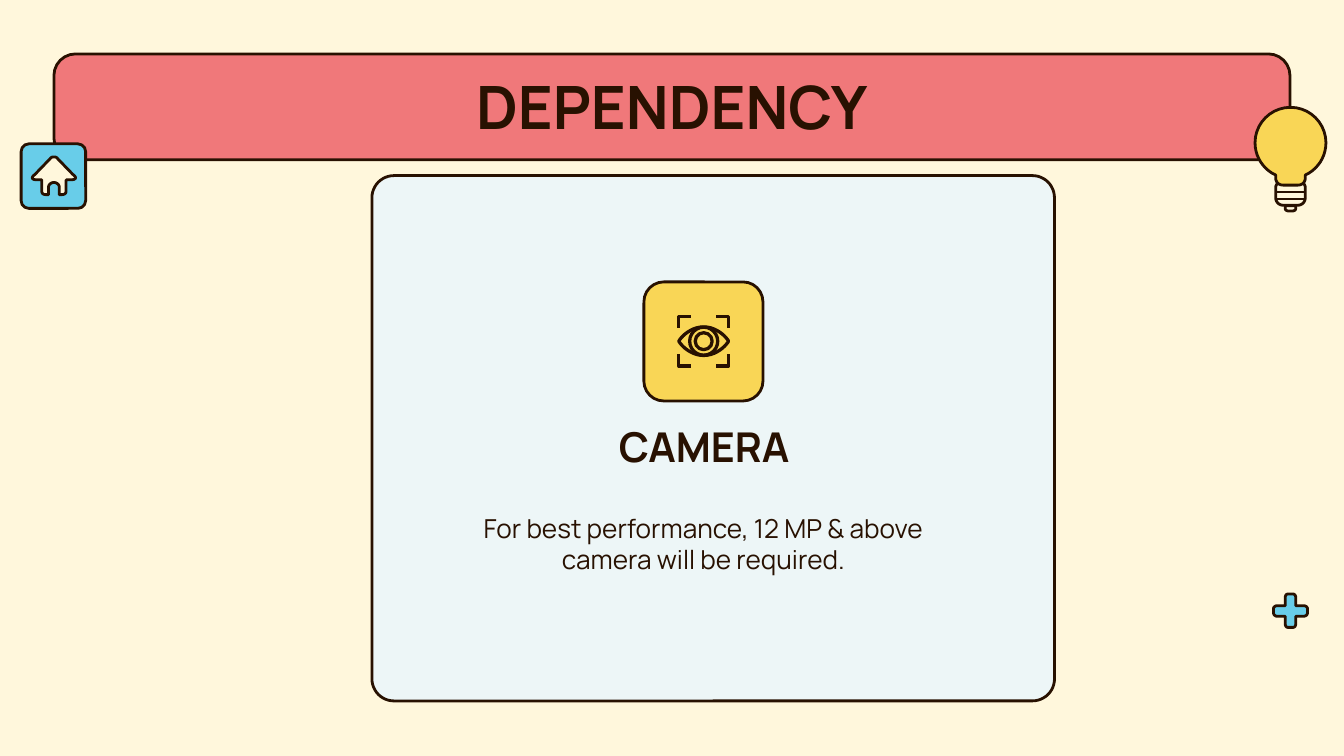
from dataclasses import dataclass
from typing import Optional

import lxml.etree
import pptx
import pptx.dml.color
import pptx.enum.shapes
import pptx.enum.text
import pptx.oxml.ns
import pptx.util

Cm = pptx.util.Cm
COLORS = {
    "ink": "281101",
    "cream": "FFF7DC",
    "card": "EDF6F7",
    "red": "F0787A",
    "yellow": "F9D656",
    "blue": "68CDE9",
}
FONT = "Manrope"
BULB_X = 24.39
EYE_X, EYE_Y = 13.3, 6.45
CURVE_STEPS = 10


@dataclass
class Panel:
    left: float
    top: float
    width: float
    height: float
    radius: float
    fill: str


@dataclass
class Icon:
    center: float
    top: float
    right_half: list[tuple[float, ...]]
    fill: Optional[str]
    weight: float = 1.5


BANNER = Panel(1.02, 1.02, 23.36, 2, 0.204, "red")
CARD = Panel(7.03, 3.32, 12.9, 9.93, 0.042, "card")
CAMERA_TILE = Panel(12.17, 5.33, 2.25, 2.25, 0.167, "yellow")
HOME_TILE = Panel(0.4, 2.72, 1.22, 1.22, 0.12, "blue")

EYE = Icon(EYE_X, 6.18, [
    (0, 0), (0.24, 0, 0.42, 0.18, 0.47, 0.27), (0.42, 0.36, 0.24, 0.54, 0, 0.54),
], None, 1.75)
BULB_BASE = Icon(BULB_X, 3.45, [
    (0, 0), (0.23, 0), (0.26, 0.03, 0.28, 0.06, 0.28, 0.1), (0.28, 0.28),
    (0.28, 0.37, 0.22, 0.43, 0.14, 0.43), (0, 0.43),
], "cream")
BULB_CAP = Icon(BULB_X, 3.89, [
    (0, 0), (0.1, 0), (0.1, 0.05), (0.1, 0.08, 0.07, 0.1, 0.03, 0.1), (0, 0.1),
], "cream")
BULB_GLASS = Icon(BULB_X, 2.03, [
    (0, 0), (0.37, 0, 0.67, 0.3, 0.67, 0.67), (0.67, 0.93, 0.52, 1.17, 0.28, 1.28),
    (0.28, 1.33), (0.28, 1.42, 0.22, 1.47, 0.14, 1.47), (0, 1.47),
], "yellow")
PLUS = Icon(BULB_X, 11.23, [
    (0, 0), (0.05, 0), (0.08, 0, 0.1, 0.03, 0.1, 0.07), (0.1, 0.22), (0.25, 0.22),
    (0.29, 0.22, 0.32, 0.25, 0.32, 0.27), (0.32, 0.36),
    (0.32, 0.39, 0.29, 0.42, 0.25, 0.42), (0.1, 0.42), (0.1, 0.56),
    (0.1, 0.6, 0.08, 0.63, 0.05, 0.63), (0, 0.63),
], "blue")
HOUSE = Icon(1.02, 2.97, [
    (0, 0), (0.03, 0, 0.05, 0, 0.07, 0.03), (0.36, 0.33),
    (0.43, 0.38, 0.43, 0.43, 0.32, 0.43), (0.23, 0.43), (0.23, 0.64),
    (0.23, 0.69, 0.2, 0.71, 0.15, 0.71), (0.1, 0.71), (0.1, 0.56),
    (0.1, 0.52, 0.05, 0.48, 0, 0.48),
], "cream")


def rgb(name: str) -> pptx.dml.color.RGBColor:
    return pptx.dml.color.RGBColor.from_string(COLORS[name])


def style(shape, fill: Optional[str], weight: float = 1.5) -> None:
    shape.shadow.inherit = False
    if fill is None:
        shape.fill.background()
    else:
        shape.fill.solid()
        shape.fill.fore_color.rgb = rgb(fill)
    shape.line.color.rgb = rgb("ink")
    shape.line.width = pptx.util.Pt(weight)


def draw_panel(slide, panel: Panel) -> None:
    shape = slide.shapes.add_shape(
        pptx.enum.shapes.MSO_SHAPE.ROUNDED_RECTANGLE,
        Cm(panel.left), Cm(panel.top), Cm(panel.width), Cm(panel.height),
    )
    shape.adjustments[0] = panel.radius
    style(shape, panel.fill)


def draw_outline(slide, points, fill: Optional[str], weight: float, close: bool) -> None:
    corners = [(Cm(x), Cm(y)) for x, y in points]
    builder = slide.shapes.build_freeform(*corners[0])
    builder.add_line_segments(corners[1:], close=close)
    style(builder.convert_to_shape(), fill, weight)


def flatten(segments: list[tuple[float, ...]]) -> list[tuple[float, float]]:
    points = [segments[0]]
    for segment in segments[1:]:
        if len(segment) == 2:
            points.append(segment)
            continue
        controls = [points[-1], segment[:2], segment[2:4], segment[4:]]
        for step in range(1, CURVE_STEPS + 1):
            t = step / CURVE_STEPS
            weights = ((1 - t) ** 3, 3 * t * (1 - t) ** 2, 3 * t * t * (1 - t), t ** 3)
            points.append(tuple(
                sum(weight * control[axis] for weight, control in zip(weights, controls))
                for axis in (0, 1)
            ))
    return points


def draw_icon(slide, icon: Icon) -> None:
    half = flatten(icon.right_half)
    mirrored = [(-x, y) for x, y in reversed(half) if x > 0]
    points = [(icon.center + x, icon.top + y) for x, y in half + mirrored]
    draw_outline(slide, points, icon.fill, icon.weight, True)


def draw_ring(slide, diameter: float) -> None:
    shape = slide.shapes.add_shape(
        pptx.enum.shapes.MSO_SHAPE.OVAL,
        Cm(EYE_X - diameter / 2), Cm(EYE_Y - diameter / 2), Cm(diameter), Cm(diameter),
    )
    style(shape, None, 1.75)


def draw_line(slide, left: float, right: float, y: float) -> None:
    connector = slide.shapes.add_connector(
        pptx.enum.shapes.MSO_CONNECTOR.STRAIGHT, Cm(left), Cm(y), Cm(right), Cm(y)
    )
    connector.line.color.rgb = rgb("ink")
    connector.line.width = pptx.util.Pt(1.5)
    properties = connector._element.spPr
    lxml.etree.SubElement(properties, pptx.oxml.ns.qn("a:effectLst"))


def add_text(slide, text: str, *, left: float, top: float, width: float, height: float,
             size: float, bold: bool = False, anchor: str = "MIDDLE") -> None:
    frame = slide.shapes.add_textbox(Cm(left), Cm(top), Cm(width), Cm(height)).text_frame
    frame.word_wrap = True
    frame.vertical_anchor = pptx.enum.text.MSO_ANCHOR[anchor]
    frame.margin_left = frame.margin_right = Cm(0.25)
    frame.margin_top = frame.margin_bottom = Cm(0.25)
    paragraph = frame.paragraphs[0]
    paragraph.alignment = pptx.enum.text.PP_ALIGN.CENTER
    run = paragraph.add_run()
    run.text = text
    run.font.name = FONT
    run.font.size = pptx.util.Pt(size)
    run.font.bold = bold
    run.font.color.rgb = rgb("ink")


def main() -> None:
    presentation = pptx.Presentation()
    presentation.slide_width, presentation.slide_height = Cm(25.4), Cm(14.29)
    slide = presentation.slides.add_slide(presentation.slide_layouts[6])
    slide.background.fill.solid()
    slide.background.fill.fore_color.rgb = rgb("cream")

    for panel in (CARD, BANNER, CAMERA_TILE, HOME_TILE):
        draw_panel(slide, panel)
    add_text(slide, "DEPENDENCY", left=2, top=1.07, width=21.4, height=1.65,
             size=32, bold=True, anchor="TOP")
    add_text(slide, "CAMERA", left=9.45, top=7.92, width=7.72, height=1.04,
             size=22, bold=True)
    add_text(slide, "For best performance, 12 MP & above camera will be required.",
             left=8.71, top=9.04, width=9.17, height=2.46, size=14)

    for side in (-1, 1):
        for level in (-1, 1):
            offsets = ((0.24, 0.47), (0.47, 0.47), (0.47, 0.24))
            corner = [(EYE_X + side * x, EYE_Y + level * y) for x, y in offsets]
            draw_outline(slide, corner, None, 1.75, False)
    draw_icon(slide, EYE)
    for diameter in (0.53, 0.32):
        draw_ring(slide, diameter)

    for icon in (BULB_BASE, BULB_CAP):
        draw_icon(slide, icon)
    for y in (3.63, 3.76):
        draw_line(slide, BULB_X - 0.28, BULB_X + 0.28, y)
    for icon in (BULB_GLASS, PLUS, HOUSE):
        draw_icon(slide, icon)
    presentation.save("out.pptx")


if __name__ == "__main__":
    main()
